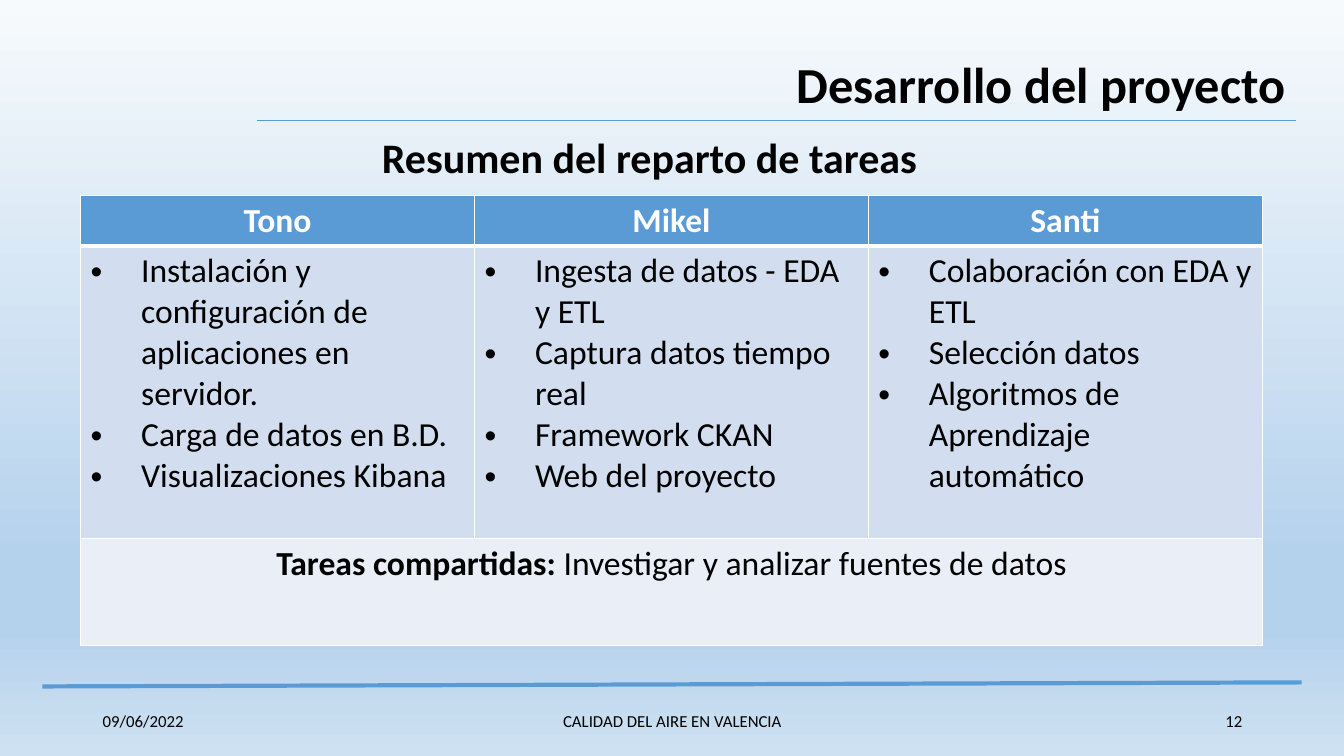
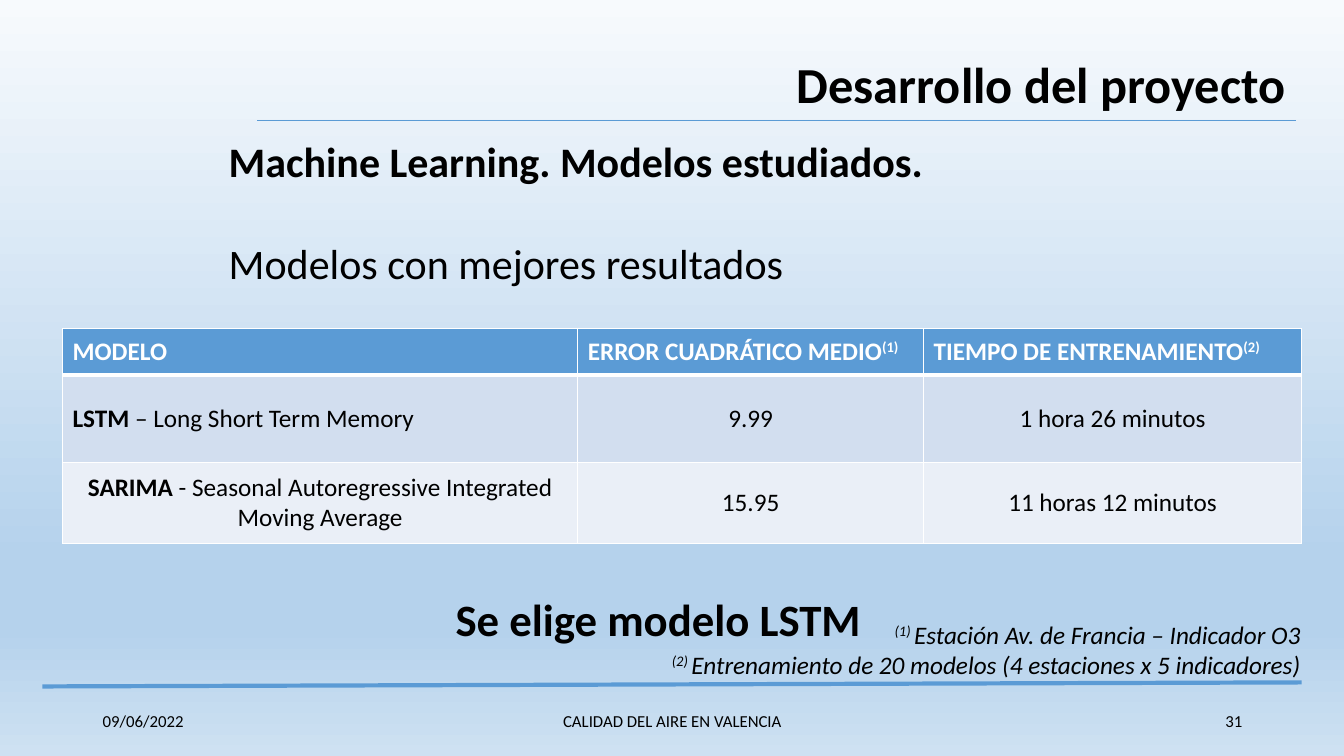
from lxml.etree import SubElement
from pptx import Presentation
from pptx.dml.color import RGBColor
from pptx.enum.shapes import MSO_CONNECTOR as Connector
from pptx.enum.text import MSO_ANCHOR as Anchor, PP_ALIGN as Align
from pptx.oxml.ns import qn
from pptx.util import Inches, Pt

# Shared look
FONT = "Calibri"
BLUE = RGBColor(0x5B, 0x9B, 0xD5)
BAND_DARK = RGBColor(0xD2, 0xDE, 0xEF)
BAND_LIGHT = RGBColor(0xEA, 0xEF, 0xF7)
BLACK = RGBColor(0, 0, 0)
WHITE = RGBColor(0xFF, 0xFF, 0xFF)
SKY_STOPS = [
    (0, RGBColor(0xF7, 0xFA, 0xFD)),
    (74, RGBColor(0xB5, 0xD2, 0xEC)),
    (83, RGBColor(0xB5, 0xD2, 0xEC)),
    (100, RGBColor(0xCE, 0xE1, 0xF2)),
]
BOLD = {"bold": True}
TITLE_STYLE = {"size": Pt(36), "bold": True}
HEADING_STYLE = {"size": Pt(30), "bold": True}
SUBHEADING_STYLE = {"size": Pt(30)}
CHOICE_STYLE = {"size": Pt(32), "bold": True}
NOTE_STYLE = {"size": Pt(18), "italic": True}
FOOTER_STYLE = {"size": Pt(12)}
RAISED = 30  # superscript offset, percent


def fill_paragraph(paragraph, content, style, color=BLACK, align=Align.LEFT):
    """Content is a string or a list of (text, extra format) runs."""
    paragraph.alignment = align
    runs = [(content, {})] if isinstance(content, str) else content
    for text, extra in runs:
        run = paragraph.add_run()
        run.text = text
        formats = {"name": FONT, **style, **extra}
        raised = formats.pop("raised", None)
        for attribute, value in formats.items():
            setattr(run.font, attribute, value)
        run.font.color.rgb = color
        if raised:
            run.font._rPr.set("baseline", str(raised * 1000))


def add_text(slide, box, paragraphs, align=Align.LEFT, anchor=Anchor.TOP, gap=0):
    """Paragraphs are (content, style) pairs, gap is the space between them."""
    frame = slide.shapes.add_textbox(*map(Inches, box)).text_frame
    frame.word_wrap = True
    frame.vertical_anchor = anchor
    for index, (content, style) in enumerate(paragraphs):
        paragraph = frame.add_paragraph() if index else frame.paragraphs[0]
        if index and gap:
            paragraph.space_before = Pt(gap)
        fill_paragraph(paragraph, content, style, align=align)


def add_rule(slide, start, end, width):
    rule = slide.shapes.add_connector(
        Connector.STRAIGHT, *map(Inches, start + end))
    rule.line.color.rgb = BLUE
    rule.line.width = Pt(width)
    SubElement(rule._element.spPr, qn("a:effectLst"))


# Background, title and footer
def add_sky(slide):
    sky = slide.background.fill
    sky.gradient()
    sky.gradient_angle = 270
    stops = slide.element.find(".//" + qn("a:gsLst"))
    for stop in list(stops):
        stops.remove(stop)
    for position, color in SKY_STOPS:
        stop = SubElement(stops, qn("a:gs"), pos=str(position * 1000))
        SubElement(stop, qn("a:srgbClr"), val=str(color))


def add_frame(deck, title, number):
    slide = deck.slides.add_slide(deck.slide_layouts[6])
    add_sky(slide)
    add_rule(slide, (0.42, 6.81), (12.91, 6.77), 3)
    add_rule(slide, (2.55, 1.19), (12.85, 1.19), 0.5)
    add_text(slide, (5.44, 0.48, 7.41, 0.71), [(title, TITLE_STYLE)], Align.RIGHT)
    footer = [
        (0.92, 3, "09/06/2022", Align.LEFT),
        (4.42, 4.5, "CALIDAD DEL AIRE EN VALENCIA", Align.CENTER),
        (9.42, 3, str(number), Align.RIGHT),
    ]
    for left, width, text, align in footer:
        add_text(slide, (left, 6.95, width, 0.4), [(text, FOOTER_STYLE)],
                 align, Anchor.MIDDLE)
    return slide


# Tables
def add_borders(cell, **widths):
    properties = cell._tc.get_or_add_tcPr()
    for side in "LRTB":
        width = Pt(widths.get(side, 1))
        edge = SubElement(properties, qn("a:ln" + side), w=str(width))
        color = SubElement(SubElement(edge, qn("a:solidFill")), qn("a:srgbClr"))
        color.set("val", str(WHITE))


def add_grid(slide, left, top, columns, rows):
    """Blank table with a blue header and two alternating bands."""
    table = slide.shapes.add_table(
        len(rows), len(columns), Inches(left), Inches(top),
        Inches(sum(columns)), Inches(sum(rows))).table
    for column, width in zip(table.columns, columns):
        column.width = Inches(width)
    for index, (row, height) in enumerate(zip(table.rows, rows)):
        row.height = Inches(height)
        band = BAND_DARK if index % 2 else BAND_LIGHT
        for cell in row.cells:
            add_borders(cell, **({"B": 3} if index == 0 else
                                 {"T": 3} if index == 1 else {}))
            cell.fill.solid()
            cell.fill.fore_color.rgb = band if index else BLUE
    return table


def add_bullet(paragraph):
    properties = paragraph._p.get_or_add_pPr()
    indent = Inches(0.5)
    properties.set("marL", str(indent))
    properties.set("indent", str(-indent))
    SubElement(properties, qn("a:buFont"), typeface="Arial")
    SubElement(properties, qn("a:buChar"), char="•")


def add_task_table(slide, left, top, tasks, shared):
    style = {"size": Pt(24), "bold": False}
    table = add_grid(slide, left, top, [11.72 / len(tasks)] * len(tasks),
                     [0.5, 2.9, 1.06])
    for column, (person, duties) in enumerate(tasks.items()):
        fill_paragraph(table.cell(0, column).text_frame.paragraphs[0], person,
                       {**style, **BOLD}, WHITE, Align.CENTER)
        frame = table.cell(1, column).text_frame
        for index, duty in enumerate(duties):
            paragraph = frame.add_paragraph() if index else frame.paragraphs[0]
            add_bullet(paragraph)
            fill_paragraph(paragraph, duty, style)
    shared_cell = table.cell(2, 0)
    shared_cell.merge(table.cell(2, len(tasks) - 1))
    fill_paragraph(shared_cell.text_frame.paragraphs[0], shared, style,
                   align=Align.CENTER)


def add_model_table(slide, left, top, header, models):
    table = add_grid(slide, left, top, [5.11, 3.43, 3.75], [0.46, 0.87, 0.8])
    for row, contents in enumerate([header] + models):
        for column, content in enumerate(contents):
            cell = table.cell(row, column)
            cell.vertical_anchor = Anchor.MIDDLE
            at_left = row == 0 or (row, column) == (1, 0)
            # Header and figures are bold, model names mix both weights
            fill_paragraph(cell.text_frame.paragraphs[0], content,
                           {"size": Pt(18), "bold": row == 0},
                           BLACK if row else WHITE,
                           Align.LEFT if at_left else Align.CENTER)


# Slides
def build_task_slide(deck):
    slide = add_frame(deck, "Desarrollo del proyecto", 12)
    add_text(slide, (3.69, 1.26, 5.96, 0.61),
             [("Resumen del reparto de tareas", HEADING_STYLE)])
    tasks = {
        "Tono": ["Instalación y configuración de aplicaciones en servidor.",
                 "Carga de datos en B.D.",
                 "Visualizaciones Kibana"],
        "Mikel": ["Ingesta de datos - EDA y ETL",
                  "Captura datos tiempo real",
                  "Framework CKAN",
                  "Web del proyecto"],
        "Santi": ["Colaboración con EDA y ETL",
                  "Selección datos",
                  "Algoritmos de Aprendizaje automático"],
    }
    shared = [("Tareas compartidas:", BOLD),
              (" Investigar y analizar fuentes de datos", {})]
    add_task_table(slide, 0.8, 1.94, tasks, shared)


def build_model_slide(deck):
    slide = add_frame(deck, "Desarrollo del proyecto", 31)
    add_text(slide, (2.17, 1.3, 9.95, 1.65),
             [("Machine Learning. Modelos estudiados.", HEADING_STYLE),
              ("Modelos con mejores resultados", SUBHEADING_STYLE)], gap=36.5)
    raised = {"raised": RAISED}
    header = ["MODELO",
              [("ERROR CUADRÁTICO MEDIO", {}), ("(1)", raised)],
              [("TIEMPO DE ENTRENAMIENTO", {}), ("(2)", raised)]]
    models = [
        [[("LSTM", BOLD), (" – Long Short Term Memory", {})],
         "9.99", "1 hora 26 minutos"],
        [[("SARIMA", BOLD),
          (" - Seasonal Autoregressive Integrated Moving Average", {})],
         "15.95", "11 horas 12 minutos"],
    ]
    add_model_table(slide, 0.62, 3.26, header, models)
    add_text(slide, (4.42, 5.82, 4.4, 0.64),
             [("Se elige modelo LSTM", CHOICE_STYLE)])
    notes = ["Estación Av. de Francia – Indicador O3",
             "Entrenamiento de 20 modelos (4 estaciones x 5 indicadores)"]
    add_text(slide, (6.46, 6.09, 6.54, 0.71),
             [([(f"({number}) ", raised), (note, {})], NOTE_STYLE)
              for number, note in enumerate(notes, 1)], Align.RIGHT)


def main():
    deck = Presentation()
    deck.slide_width, deck.slide_height = Inches(13.33), Inches(7.5)
    build_task_slide(deck)
    build_model_slide(deck)
    deck.save("out.pptx")


if __name__ == "__main__":
    main()
